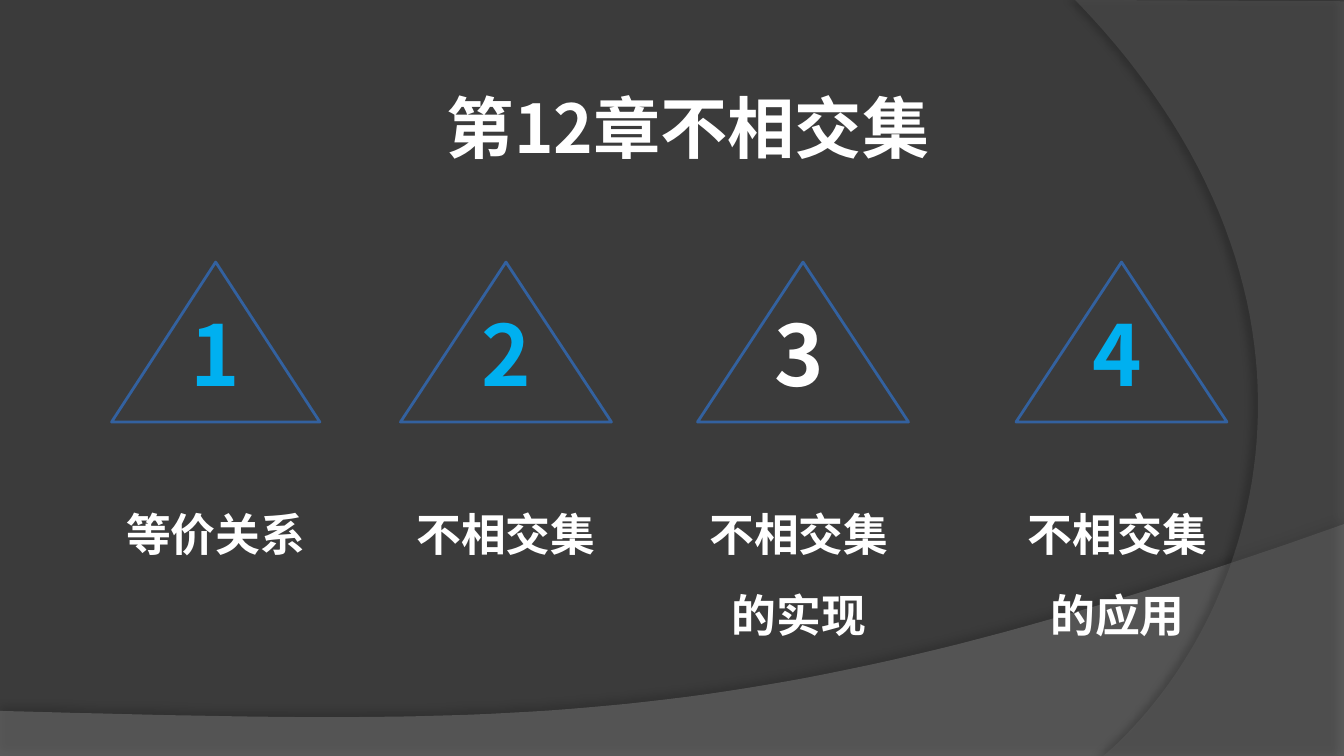
from lxml.etree import SubElement
from pptx import Presentation
from pptx.dml.color import RGBColor
from pptx.enum.shapes import MSO_SHAPE
from pptx.enum.text import PP_ALIGN
from pptx.oxml.ns import qn
from pptx.util import Inches, Pt

PAGE_WIDTH = 10
PAGE_HEIGHT = PAGE_WIDTH * 9 / 16
UNITS = 1000
FONT = "Noto Sans CJK SC"
BACKGROUND = RGBColor(0x3B, 0x3B, 0x3B)
LOWER_WAVE = RGBColor(0x7F, 0x7F, 0x7F)
RIGHT_WAVE = RGBColor(0x5E, 0x5E, 0x5E)
OUTLINE = RGBColor(0x33, 0x61, 0x9F)
WHITE = RGBColor(0xFF, 0xFF, 0xFF)
CYAN = RGBColor(0x00, 0xB0, 0xF0)

TOPICS = [
    ("1", "等价关系", CYAN, 0.83, 1.55, 0),
    ("2", "不相交集", CYAN, 2.98, 1.57, 0),
    ("3", "不相交集的实现", WHITE, 5.19, 1.57, -0.03),
    ("4", "不相交集的应用", CYAN, 7.56, 1.57, -0.03),
]


def curve_points(start, first, second, end, steps=60):
    """Return points along a cubic curve, without its start."""
    points = []
    for step in range(1, steps + 1):
        t = step / steps
        weights = ((1 - t) ** 3, 3 * t * (1 - t) ** 2, 3 * t * t * (1 - t), t ** 3)
        corners = (start, first, second, end)
        points.append(tuple(
            sum(weight * corner[axis] for weight, corner in zip(weights, corners))
            for axis in (0, 1)
        ))
    return points


def add_wave(page, points, color, opacity, shadow_opacity, distance, direction):
    """Draw a translucent outline with a soft shadow."""
    grid = [(round(x * UNITS), round(y * UNITS)) for x, y in points]
    builder = page.shapes.build_freeform(*grid[0], scale=Inches(1) / UNITS)
    builder.add_line_segments(grid[1:], close=True)
    wave = builder.convert_to_shape()
    wave.fill.solid()
    wave.fill.fore_color.rgb = color
    wave.line.fill.background()
    wave.shadow.inherit = False
    properties = wave._element.spPr
    tint = properties.find(qn("a:solidFill")).find(qn("a:srgbClr"))
    SubElement(tint, qn("a:alpha"), val=str(opacity * 1000))
    shadow = SubElement(
        properties.find(qn("a:effectLst")), qn("a:outerShdw"),
        blurRad=str(Pt(4)), dist=str(Pt(distance)),
        dir=str(direction * 60000), algn="ctr", rotWithShape="0",
    )
    shade = SubElement(shadow, qn("a:srgbClr"), val="000000")
    SubElement(shade, qn("a:alpha"), val=str(shadow_opacity * 1000))


def add_backdrop(page, width, height):
    """Fill the page and lay the two waves over it."""
    page.background.fill.solid()
    page.background.fill.fore_color.rgb = BACKGROUND
    lower = [(0, 5.29), (0, height), (width, height), (width, 3.9)]
    lower += curve_points((width, 3.9), (5.59, 5.47), (3.91, 5.39), (0, 5.29))
    add_wave(page, lower, LOWER_WAVE, 45, 35, 3.5, 270)
    right = [(width, 0.01), (width, height), (8.21, height)]
    right += curve_points((8.21, height), (9.35, 4.64), (10.18, 2.25), (8, 0))
    add_wave(page, right, RIGHT_WAVE, 40, 45, 4, 180)


def add_text(page, left, top, width, height, text, size, color, spacing=1.0):
    """Place one centred bold paragraph."""
    box = page.shapes.add_textbox(
        Inches(left), Inches(top), Inches(width), Inches(height))
    box.text_frame.word_wrap = True
    para = box.text_frame.paragraphs[0]
    para.alignment = PP_ALIGN.CENTER
    para.line_spacing = spacing
    span = para.add_run()
    span.text = text
    span.font.size = Pt(size)
    span.font.bold = True
    span.font.color.rgb = color
    span.font.name = FONT
    SubElement(span._r.get_or_add_rPr(), qn("a:ea"), typeface=FONT)
    return box


def add_title(page, left, top, width, height):
    """Place the chapter title."""
    box = add_text(page, left, top, width, height, "第12章不相交集", 36, WHITE, 1.25)
    frame = box.text_frame
    frame.margin_left = frame.margin_right = Inches(0.07)
    frame.margin_top = frame.margin_bottom = Inches(0.04)


def add_topic(page, left, top, width, number, label, color, shift):
    """Place a numbered triangle with its label below."""
    triangle = page.shapes.add_shape(
        MSO_SHAPE.ISOSCELES_TRIANGLE,
        Inches(left), Inches(top), Inches(width), Inches(1.19))
    triangle.shadow.inherit = False
    triangle.fill.background()
    triangle.line.color.rgb = OUTLINE
    triangle.line.width = Pt(1.5)
    add_text(page, left + shift, top + 0.25, width, 0.86, number, 45, color)
    label_width = 1.73
    label_height = 1.31 if len(label) > 4 else 0.64
    label_left = left + shift + (width - label_width) / 2
    add_text(page, label_left, top + 1.57, label_width, label_height,
             label, 24, WHITE, 1.5)


def main():
    """Build and save the chapter page."""
    deck = Presentation()
    deck.slide_width, deck.slide_height = Inches(PAGE_WIDTH), Inches(PAGE_HEIGHT)
    page = deck.slides.add_slide(deck.slide_layouts[6])
    add_backdrop(page, PAGE_WIDTH, PAGE_HEIGHT)
    add_title(page, 2.09, 0.45, 6.06, 0.83)
    for number, label, color, left, width, shift in TOPICS:
        add_topic(page, left, 1.95, width, number, label, color, shift)
    deck.save("out.pptx")


if __name__ == "__main__":
    main()
